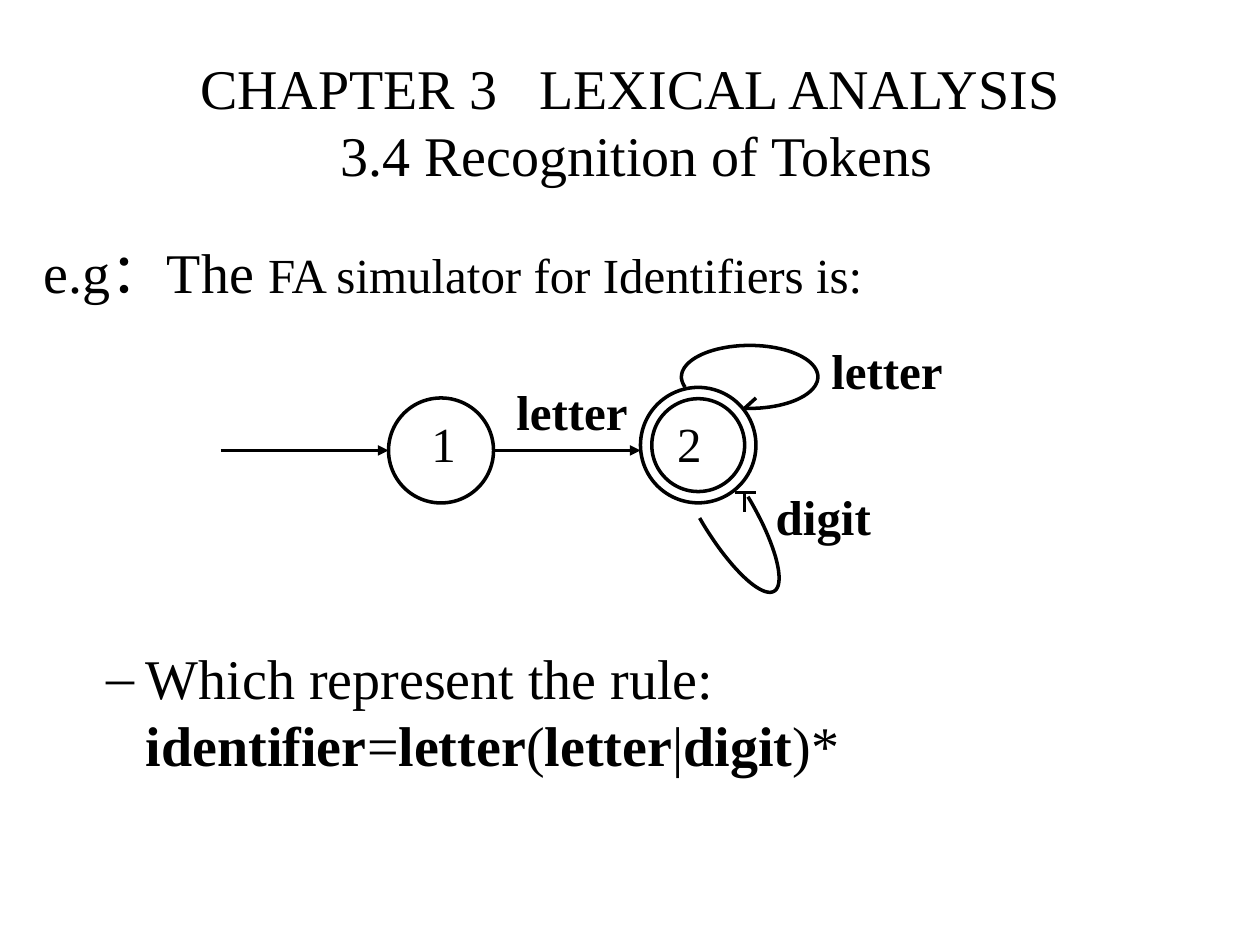
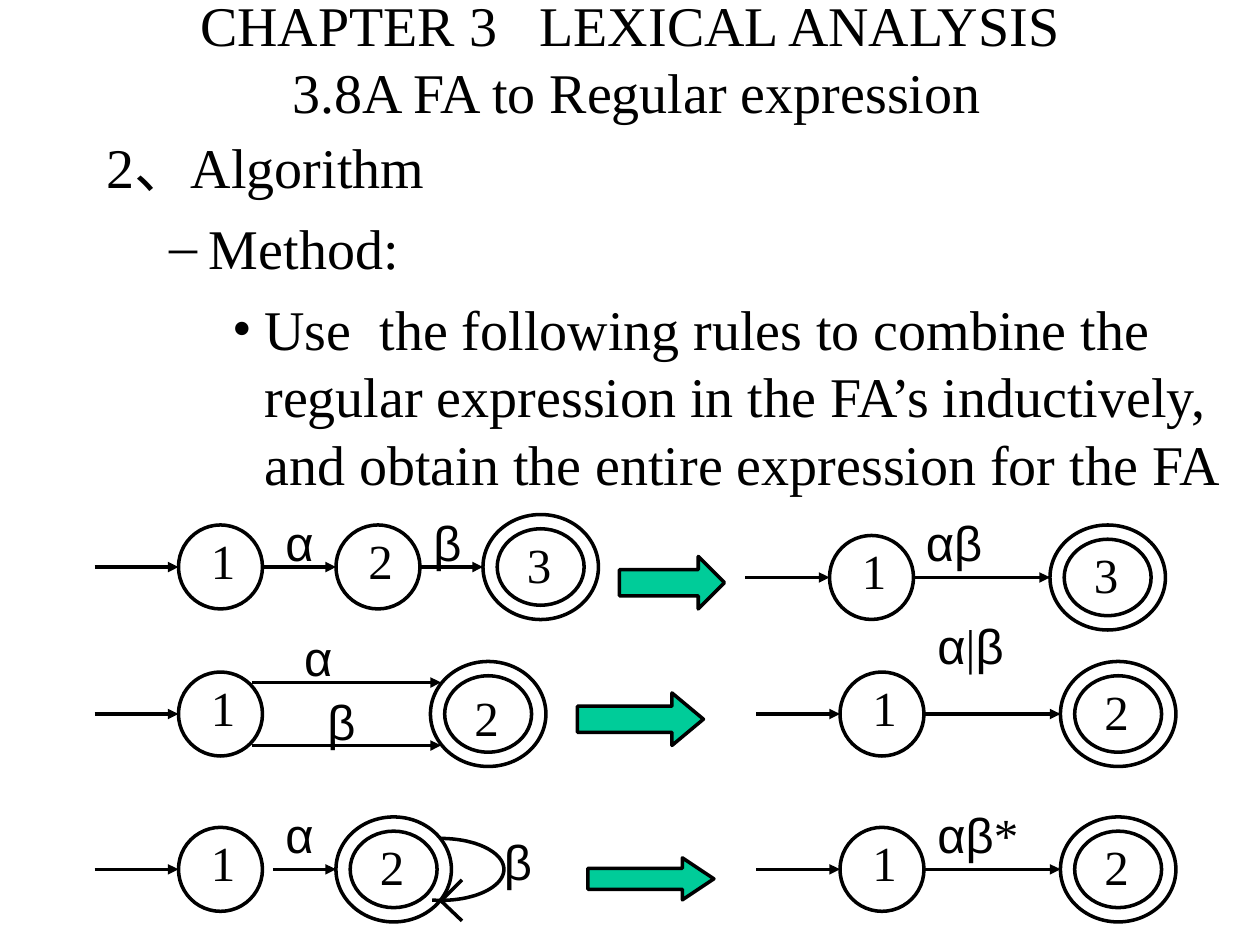
from math import cos, radians, sin

from lxml.etree import SubElement
from pptx import Presentation
from pptx.dml.color import RGBColor
from pptx.enum.shapes import MSO_CONNECTOR, MSO_SHAPE
from pptx.enum.text import MSO_ANCHOR, PP_ALIGN
from pptx.oxml.ns import qn
from pptx.util import Inches, Pt

BLACK = RGBColor(0x00, 0x00, 0x00)
GREEN = RGBColor(0x00, 0xCC, 0x99)
SERIF = "Times New Roman"
SANS = "Arial"
GRID = 12
LABEL_HEIGHT = 6.8
WORD_WIDTH = 14
GREEK_WIDTHS = {"α": 5.3, "β": 4.9, "αβ": 8.5, "α|β": 9.5, "αβ*": 11.4}


def cells(*counts):
    return [Inches(count / GRID) for count in counts]


def add_span(para, text, size=32, font=SERIF, bold=False, spread=0):
    span = para.add_run()
    span.text = text
    span.font.size = Pt(size)
    span.font.name = font
    span.font.bold = bold
    span.font.color.rgb = BLACK
    if spread:
        span.font._element.set("spc", str(spread * 100))


def add_para(box, spans, margin=0, indent=0, bullet=None, before=0,
             align=PP_ALIGN.LEFT):
    frame = box.text_frame
    para = frame.paragraphs[0]
    if para.runs:
        para = frame.add_paragraph()
    props = para._p.get_or_add_pPr()
    props.set("marL", str(Inches(margin)))
    props.set("indent", str(Inches(indent)))
    if bullet:
        SubElement(props, qn("a:buFont")).set("typeface", SERIF)
        SubElement(props, qn("a:buChar")).set("char", bullet)
    else:
        SubElement(props, qn("a:buNone"))
    para.alignment = align
    para.space_before = Pt(before)
    for text, style in spans:
        add_span(para, text, **style)


def add_box(page, left, top, width, height, wrap=True, anchor=MSO_ANCHOR.TOP):
    box = page.shapes.add_textbox(*cells(left, top, width, height))
    box.text_frame.word_wrap = wrap
    box.text_frame.vertical_anchor = anchor
    return box


def add_label(page, text, left, top, width=4.7, **style):
    box = add_box(page, left, top, width, LABEL_HEIGHT, wrap=False)
    add_para(box, [(text, {"size": 28, **style})])


def add_greek(page, text, left, top):
    box = add_box(page, left, top, GREEK_WIDTHS[text], LABEL_HEIGHT, wrap=False)
    add_para(box, [(sign, {"size": 28, "font": SERIF if sign in "|*" else SANS})
                   for sign in text])


def add_title(page, section, top, height):
    box = add_box(page, 9, top, 102, height, anchor=MSO_ANCHOR.MIDDLE)
    add_para(box, [("CHAPTER 3", {}), (" ", {"spread": 16}),
                   ("LEXICAL ANALYSIS", {})], align=PP_ALIGN.CENTER)
    add_para(box, [(section, {})], margin=0.11, align=PP_ALIGN.CENTER)


def outline(shape, fill=None):
    shape.shadow.inherit = False
    if fill is None:
        shape.fill.background()
    else:
        shape.fill.solid()
        shape.fill.fore_color.rgb = fill
    shape.line.color.rgb = BLACK
    shape.line.width = Pt(2)


def add_preset(page, kind, left, top, width, height, adjust=(), fill=None):
    shape = page.shapes.add_shape(kind, *cells(left, top, width, height))
    for index, value in enumerate(adjust):
        shape.adjustments[index] = value
    outline(shape, fill)


def add_line(page, start, end, arrow=False):
    line = page.shapes.add_connector(MSO_CONNECTOR.STRAIGHT, *cells(*start, *end))
    line.line.color.rgb = BLACK
    line.line.width = Pt(2)
    props = line._element.spPr
    if arrow:
        SubElement(props.find(qn("a:ln")), qn("a:tailEnd")).set("type", "triangle")
    SubElement(props, qn("a:effectLst"))


def add_arrow(page, left, right, row):
    add_line(page, (left, row), (right, row), arrow=True)


def add_loop(page, center, radius, start, end, tilt=0):
    turn = radians(tilt)
    points = []
    for degree in range(start, end + 1, 4):
        across = radius[0] * cos(radians(degree))
        down = radius[1] * sin(radians(degree))
        points.append(cells(center[0] + across * cos(turn) - down * sin(turn),
                            center[1] + across * sin(turn) + down * cos(turn)))
    builder = page.shapes.build_freeform(*points[0])
    builder.add_line_segments(points[1:], close=False)
    outline(builder.convert_to_shape())


def add_state(page, name, left, axis):
    add_preset(page, MSO_SHAPE.OVAL, left, axis - 4, 8, 8)
    add_label(page, name, left + 1.9, axis - 4.1)


def add_start(page, left, axis):
    add_arrow(page, left - 8, left, axis)
    add_state(page, "1", left, axis)


def add_final(page, name, left, axis, drop=1.3):
    add_preset(page, MSO_SHAPE.DONUT, left, axis - 5, 11, 10, [0.136])
    add_label(page, name, left + 3, axis - 5 + drop)


def draw_identifier_automaton(page):
    axis = 42.9
    add_preset(page, MSO_SHAPE.OVAL, 37, 37.9, 10, 10)
    add_preset(page, MSO_SHAPE.DONUT, 61, 36.9, 11, 11, [0.098])
    add_arrow(page, 21, 37, axis)
    add_arrow(page, 47, 61, axis)
    add_label(page, "1", 39.9, 38.8)
    add_label(page, "2", 63.3, 38.8)
    for word, left, top in (("letter", 48, 35.7), ("letter", 78, 31.8),
                            ("digit", 72.7, 45.7)):
        add_label(page, word, left, top, WORD_WIDTH, bold=True)
    for start, end in (((70.9, 46.9), (70.9, 48.8)), ((70, 46.9), (72, 46.9)),
                       ((70.9, 38.9), (72, 37.9)), ((70.9, 38.9), (72, 38.9))):
        add_line(page, start, end)
    add_loop(page, (71.4, 35.9), (6.5, 3), 161, 454)
    add_loop(page, (69.1, 48.6), (9, 2.5), -90, 95, tilt=59)


def build_recognition(page):
    add_title(page, "3.4 Recognition of Tokens", 2, 19)
    intro = add_box(page, 3, 22, 112, 8)
    add_para(intro, [("e.g：The ", {}),
                     ("FA simulator for Identifiers is:", {"size": 28})],
             margin=0.38, indent=-0.38)
    rule = add_box(page, 3, 60.7, 112, 14)
    tokens = ("identifier", "=", "letter", "(", "letter", "|", "digit", ")*")
    add_para(rule, [("Which represent the rule: ", {})]
             + [(token, {"bold": token.isalpha()}) for token in tokens],
             margin=0.81, indent=-0.31, bullet="–")
    draw_identifier_automaton(page)


def draw_concatenation(page, axis):
    add_start(page, 17, axis)
    add_state(page, "2", 32, axis)
    add_final(page, "3", 46, axis)
    add_arrow(page, 25, 32, axis)
    add_arrow(page, 40, 46, axis)
    add_greek(page, "α", 26, axis - 5.8)
    add_greek(page, "β", 40.1, axis - 5.8)
    add_start(page, 79, axis + 1)
    add_final(page, "3", 100, axis + 1)
    add_arrow(page, 87, 100, axis + 1)
    add_greek(page, "αβ", 87, axis - 5.8)


def draw_result(page, axis, expression, rise):
    add_start(page, 80, axis)
    add_final(page, "2", 101, axis)
    add_arrow(page, 88, 101, axis)
    add_greek(page, expression, 88.1, axis - rise)


def draw_alternation(page, axis):
    add_start(page, 17, axis)
    add_final(page, "2", 41, axis, drop=1.9)
    for row in (axis - 3, axis + 3):
        add_arrow(page, 24, 42, row)
    add_greek(page, "α", 27.8, axis - 8.8)
    add_greek(page, "β", 30, axis - 2.7)
    draw_result(page, axis, "α|β", 10)


def draw_closure(page, axis):
    add_start(page, 17, axis)
    add_final(page, "2", 32, axis)
    add_arrow(page, 26, 32, axis)
    add_greek(page, "α", 26, axis - 6.8)
    add_loop(page, (42, axis), (6, 2.95), -90, 99)
    for row in (axis + 1, axis + 4.9):
        add_line(page, (42, axis + 3), (44, row))
    add_greek(page, "β", 46.8, axis - 4.2)
    draw_result(page, axis, "αβ*", 6.8)


def build_conversion(page):
    add_title(page, "3.8A FA to Regular expression", 0, 11)
    method = add_box(page, 9, 12, 111, 56)
    add_para(method, [("2、Algorithm", {})], margin=0.38, indent=-0.38)
    add_para(method, [("Method:", {})], margin=0.81, indent=-0.31,
             bullet="–", before=8)
    add_para(method, [("Use", {}), (" ", {"spread": 8}),
                      ("the following rules to combine the regular expression in "
                       "the FA’s inductively, and obtain the entire expression "
                       "for the FA", {})],
             margin=1.25, indent=-0.25, bullet="•", before=8)
    draw_concatenation(page, 54)
    draw_alternation(page, 68)
    draw_closure(page, 82.8)
    for left, top, width, height, head in ((59, 53, 10, 5, 0.5),
                                           (55, 66, 12, 5, 0.6),
                                           (56, 81.7, 12, 4, 0.75)):
        add_preset(page, MSO_SHAPE.RIGHT_ARROW, left, top, width, height,
                   [0.5, head], GREEN)


def main():
    deck = Presentation()
    deck.slide_width, deck.slide_height = cells(120, 90)
    for build in (build_recognition, build_conversion):
        build(deck.slides.add_slide(deck.slide_layouts[6]))
    deck.save("out.pptx")


if __name__ == "__main__":
    main()
